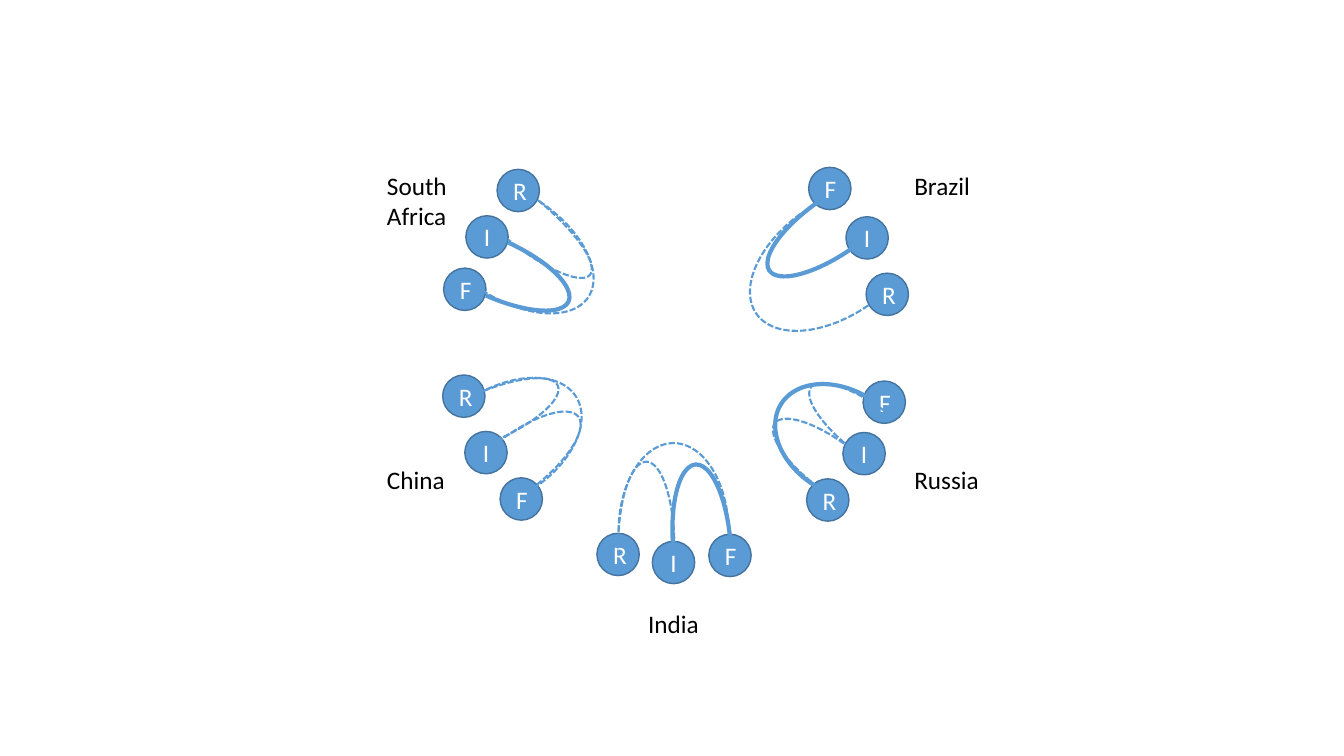
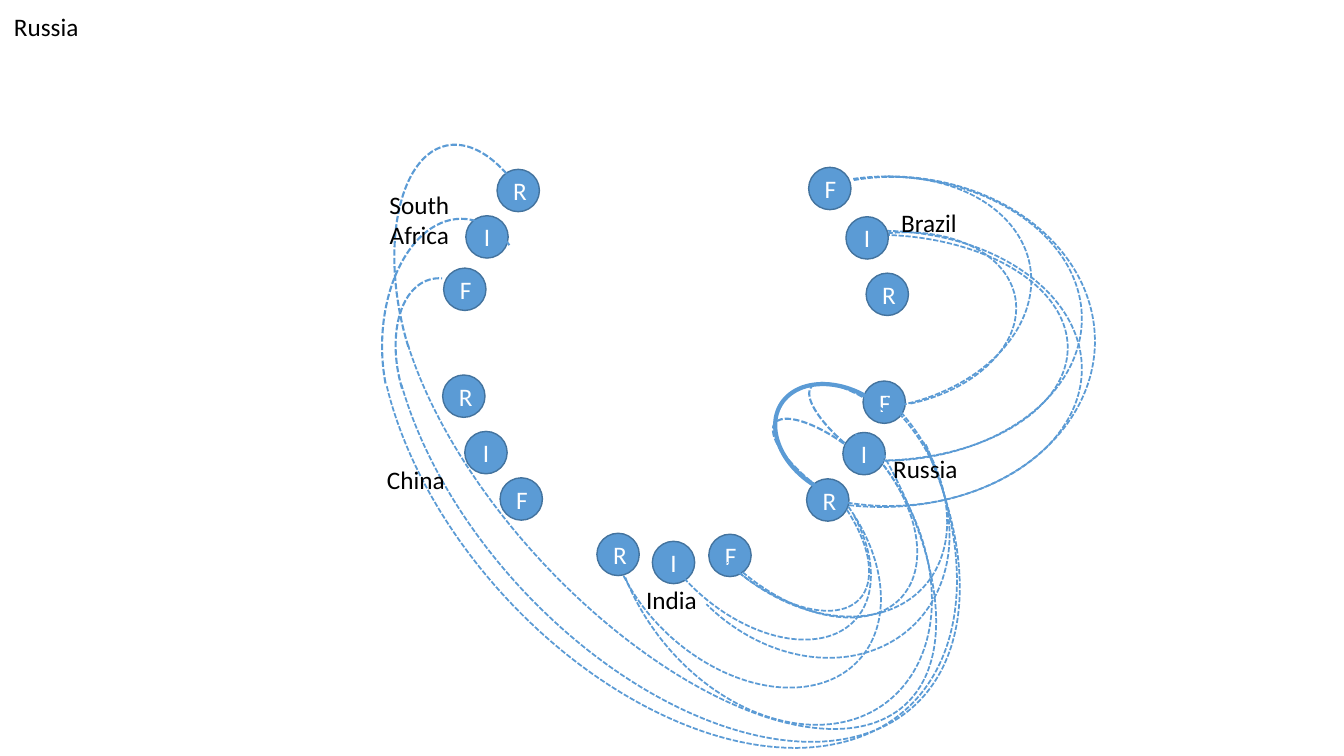
from dataclasses import dataclass

from pptx import Presentation
from pptx.dml.color import RGBColor
from pptx.enum.dml import MSO_LINE
from pptx.enum.shapes import MSO_SHAPE
from pptx.enum.text import MSO_ANCHOR, MSO_AUTO_SIZE, PP_ALIGN
from pptx.util import Inches, Pt

# Shared style
BLUE, DARK_BLUE, WHITE, BLACK = "5B9BD5", "43739E", "FFFFFF", "000000"
FONT, TEXT_SIZE = "Calibri", 18
NODE_SIZE = 0.42
LABEL_WIDTH, LABEL_HEIGHT, LINE_HEIGHT = 0.86, 0.40, 0.31
HALF_TURN = (162, 51.62)
STRONG, MEDIUM, THIN = 3, 1.5, 1.25


@dataclass
class Country:
    """A cluster of nodes; every offset counts from its top left corner."""
    name: str
    origin: tuple
    nodes: dict
    label: tuple
    arcs: list  # left, top, width, height, rotation, line width


RUSSIA = Country(
    "Russia", (8.00, 3.78),
    {"F": (0.56, 0), "I": (0.36, 0.51), "R": (0, 0.97)}, (0.97, 0.78),
    [(-0.36, 0.09, 1.41, 1.02, 211.6, STRONG),
     (-0.11, 0.27, 1.53, 0.50, 216.9, MEDIUM),
     (-0.46, 0.60, 1.44, 0.50, 216.9, MEDIUM)])
INDIA = Country(
    "India", (5.92, 5.29),
    {"F": (1.11, 0.01), "I": (0.55, 0.08), "R": (0, 0)}, (0.41, 0.70),
    [(0.25, -0.18, 1.58, 0.57, 265.5, STRONG),
     (-0.12, -0.56, 1.76, 1.09, 270, MEDIUM),
     (-0.37, -0.13, 1.72, 0.56, 270, MEDIUM)])
BRAZIL = Country(
    "Brazil", (8.02, 1.66),
    {"R": (0.57, 1.05), "I": (0.37, 0.49), "F": (0, 0)}, (0.95, -0.02),
    [(-0.53, 0.29, 1.58, 0.57, 145.3, STRONG),
     (-0.69, 0.34, 1.92, 1.13, 145.3, MEDIUM)])
CHINA = Country(
    "China", (4.39, 3.72),
    {"F": (0.57, 1.02), "I": (0.22, 0.56), "R": (0, 0)}, (-0.65, 0.84),
    [(-0.07, 0.61, 1.58, 0.57, 322.4, MEDIUM),
     (-0.30, 0.14, 1.76, 1.09, 327.8, MEDIUM),
     (-0.35, 0.17, 1.56, 0.50, 336.3, MEDIUM)])
SOUTH_AFRICA = Country(
    "South\nAfrica", (4.40, 1.68),
    {"F": (0, 0.98), "I": (0.22, 0.46), "R": (0.53, 0)}, (-0.66, -0.04),
    [(-0.27, 0.70, 1.58, 0.57, 24.4, STRONG),
     (-0.09, 0.25, 1.74, 0.49, 39.3, MEDIUM),
     (-0.27, 0.23, 1.86, 1.05, 33.5, MEDIUM)])
COUNTRIES = [RUSSIA, INDIA, BRAZIL, CHINA, SOUTH_AFRICA]

# Arcs between countries: left, top, width, height, rotation, line width, angles
RUSSIA_TO_BRAZIL = [
    (7.09, 1.77, 3.15, 2.28, 350.1, THIN, HALF_TURN),
    (6.79, 1.75, 3.94, 2.82, 0, THIN, (162.28, 57.17)),
    (6.77, 1.75, 4.09, 3.27, 0, THIN, (154.58, 64.16)),
    (7.54, 2.32, 2.55, 1.71, 350.1, THIN, HALF_TURN),
    (6.80, 2.33, 3.79, 2.24, 0, THIN, (162.28, 57.17)),
    (6.75, 2.29, 3.98, 2.74, 0, THIN, (154.58, 64.16))]
RUSSIA_TO_INDIA = [
    (6.47, 3.64, 3.10, 2.27, 42.8, THIN, HALF_TURN),
    (6.29, 3.67, 3.28, 2.69, 47.3, THIN, HALF_TURN),
    (6.45, 4.07, 2.87, 1.77, 42.8, THIN, HALF_TURN),
    (5.75, 4.06, 3.79, 2.80, 52.9, THIN, (162, 69.91)),
    (6.35, 4.46, 2.51, 1.26, 42.8, THIN, (186.28, 51.62)),
    (6.14, 4.38, 2.70, 1.71, 42.8, THIN, (186.28, 63.68)),
    (5.82, 4.40, 3.11, 2.19, 42.8, THIN, (175.71, 80.97))]
RUSSIA_TO_SOUTH_AFRICA = [
    (3.18, 2.34, 7.02, 4.16, 47.3, THIN, (187.15, 87.15)),
    (3.09, 2.72, 7.02, 3.38, 47.3, THIN, (187.15, 92.34)),
    (3.11, 2.26, 7.02, 4.37, 47.3, THIN, (187.15, 87.15)),
    (3.57, 3.13, 1.92, 1.13, 253.6, MEDIUM, (162, 4.58)),
    (3.31, 2.65, 2.53, 1.57, 270, MEDIUM, (146.3, 15.67)),
    (3.17, 2.20, 3.17, 1.59, 258.1, MEDIUM, (149.75, 15.67))]


def color(hex_string):
    return RGBColor.from_string(hex_string)


def write_text(frame, text, ink=BLACK, align=PP_ALIGN.LEFT):
    frame.word_wrap = True
    frame.text = text
    for paragraph in frame.paragraphs:
        paragraph.alignment = align
        font = paragraph.runs[0].font
        font.name, font.size = FONT, Pt(TEXT_SIZE)
        font.color.rgb = color(ink)


def add_preset(slide, kind, origin, left, top, width, height):
    shape = slide.shapes.add_shape(
        kind, Inches(origin[0] + left), Inches(origin[1] + top),
        Inches(width), Inches(height))
    shape.shadow.inherit = False
    return shape


def add_node(slide, country, letter):
    shape = add_preset(slide, MSO_SHAPE.OVAL, country.origin,
                       *country.nodes[letter], NODE_SIZE, NODE_SIZE)
    shape.fill.solid()
    shape.fill.fore_color.rgb = color(BLUE)
    shape.line.color.rgb = color(DARK_BLUE)
    shape.line.width = Pt(1)
    shape.text_frame.vertical_anchor = MSO_ANCHOR.MIDDLE
    write_text(shape.text_frame, letter, ink=WHITE, align=PP_ALIGN.CENTER)


def add_arc(slide, origin, left, top, width, height, rotation, weight,
            angles=HALF_TURN):
    arc = add_preset(slide, MSO_SHAPE.ARC, origin, left, top, width, height)
    arc.adjustments[0], arc.adjustments[1] = angles
    arc.rotation = rotation
    arc.fill.background()
    arc.line.color.rgb = color(BLUE)
    arc.line.width = Pt(weight)
    if weight != STRONG:
        arc.line.dash_style = MSO_LINE.SQUARE_DOT


def add_label(slide, text, origin, offset, align=PP_ALIGN.LEFT):
    height = LABEL_HEIGHT + LINE_HEIGHT * text.count("\n")
    box = slide.shapes.add_textbox(
        Inches(origin[0] + offset[0]), Inches(origin[1] + offset[1]),
        Inches(LABEL_WIDTH), Inches(height))
    write_text(box.text_frame, text, align=align)
    box.text_frame.auto_size = MSO_AUTO_SIZE.SHAPE_TO_FIT_TEXT


def add_country_arcs(slide, country):
    for arc in country.arcs:
        add_arc(slide, country.origin, *arc)


def build_within_countries(slide):
    for country in COUNTRIES:
        for letter in country.nodes:
            add_node(slide, country, letter)
        add_label(slide, country.name, country.origin, country.label)
        add_country_arcs(slide, country)


def build_russia_links(slide):
    slide_corner = (0, 0)
    front_nodes = [(BRAZIL, "I"), (INDIA, "R")]

    # Nodes below the arcs
    for country in COUNTRIES:
        for letter in country.nodes:
            if (country, letter) not in front_nodes:
                add_node(slide, country, letter)

    # Arcs within Russia and to the other countries
    add_country_arcs(slide, RUSSIA)
    for arc in RUSSIA_TO_BRAZIL + RUSSIA_TO_INDIA + RUSSIA_TO_SOUTH_AFRICA:
        add_arc(slide, slide_corner, *arc)

    # Nodes that cover arc ends
    for country, letter in front_nodes:
        add_node(slide, country, letter)

    # Labels, moved closer to the nodes
    for country, offset, align in [
            (RUSSIA, (0.76, 0.67), PP_ALIGN.LEFT),
            (INDIA, (0.31, 0.46), PP_ALIGN.CENTER),
            (CHINA, CHINA.label, PP_ALIGN.LEFT),
            (BRAZIL, (0.82, 0.35), PP_ALIGN.LEFT),
            (SOUTH_AFRICA, (-0.67, 0.15), PP_ALIGN.CENTER)]:
        add_label(slide, country.name, country.origin, offset, align)
    add_label(slide, RUSSIA.name, slide_corner, (0.04, 0.06))


presentation = Presentation()
presentation.slide_width, presentation.slide_height = Inches(13.33), Inches(7.5)
blank_layout = presentation.slide_layouts[6]
for build in (build_within_countries, build_russia_links):
    build(presentation.slides.add_slide(blank_layout))
presentation.save("out.pptx")
